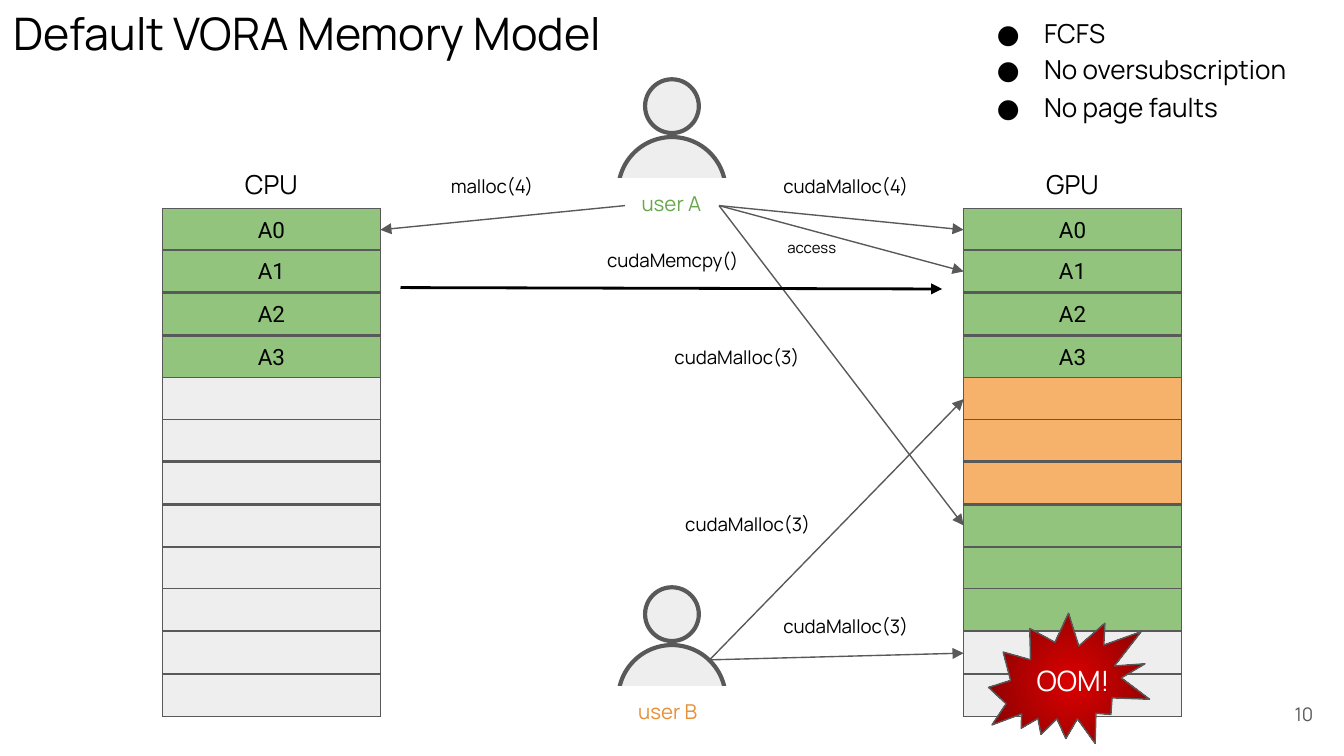
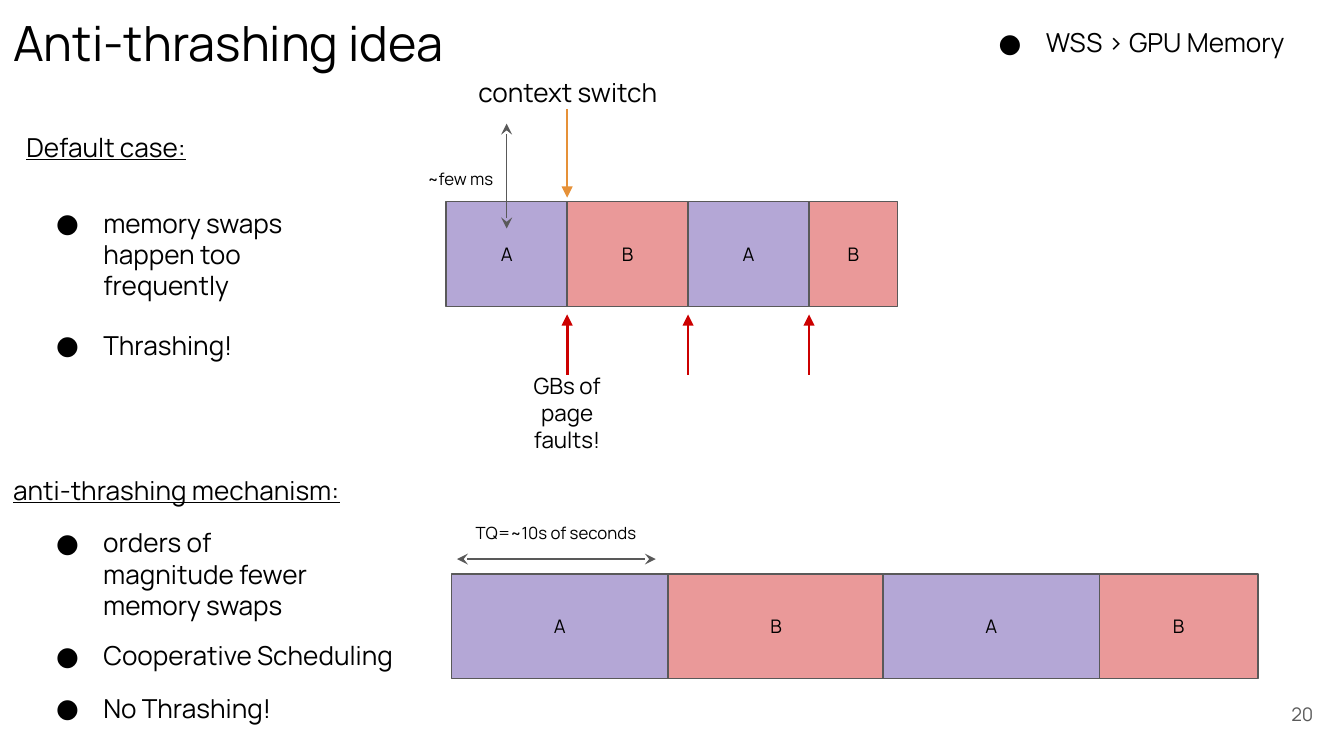
from lxml import etree
from pptx import Presentation
from pptx import util as u
from pptx.dml.color import RGBColor
from pptx.enum import shapes, text
from pptx.oxml import ns

PX = 9144
BLACK, GRAY, WHITE, PALE = "000000", "595959", "FFFFFF", "EEEEEE"
GREEN, ORANGE, RED = "93C47D", "F6B26B", "CC0000"
PURPLE, PINK = "B4A7D6", "EA9999"
GREEN_TEXT, ORANGE_TEXT = "6AA84F", "E69138"
RECT, OVAL = shapes.MSO_SHAPE.RECTANGLE, shapes.MSO_SHAPE.OVAL
LEFT, CENTER, RIGHT = text.PP_ALIGN.LEFT, text.PP_ALIGN.CENTER, text.PP_ALIGN.RIGHT
TOP, MIDDLE, BOTTOM = text.MSO_ANCHOR.TOP, text.MSO_ANCHOR.MIDDLE, text.MSO_ANCHOR.BOTTOM


def put(page, place, words="", size=14, color=BLACK, align=LEFT, anchor=TOP, font="Manrope",
        bullet=False, underline=False, preset=None, fill=None, line=GRAY, weight=0.75):
    place = [round(length) * PX for length in place]
    if preset is None:
        box = page.shapes.add_textbox(*place)
    else:
        box = page.shapes.add_shape(preset, *place)
        box.shadow.inherit = False
        if fill:
            box.fill.solid()
            box.fill.fore_color.rgb = RGBColor.from_string(fill)
        else:
            box.fill.background()
        box.line.color.rgb = RGBColor.from_string(line)
        box.line.width = u.Pt(weight)
    if words:
        frame = box.text_frame
        frame.word_wrap = True
        frame.vertical_anchor = anchor
        frame.margin_left = frame.margin_right = frame.margin_top = frame.margin_bottom = 10 * PX
        frame.text = words
        para = frame.paragraphs[0]
        para.alignment = align
        if bullet:
            props = para._p.get_or_add_pPr()
            props.set("marL", str(50 * PX))
            props.set("indent", str(-35 * PX))
            tint = etree.SubElement(props, ns.qn("a:buClr"))
            etree.SubElement(tint, ns.qn("a:srgbClr"), val=BLACK)
            etree.SubElement(props, ns.qn("a:buFont"), typeface=font)
            etree.SubElement(props, ns.qn("a:buChar"), char="●")
        para.font.name = font
        para.font.size = u.Pt(size)
        para.font.color.rgb = RGBColor.from_string(color)
        if underline:
            para.font.underline = True
    return box


def arrow(page, ends, color=GRAY, weight=0.75, head=None, tail="triangle"):
    link = page.shapes.add_connector(shapes.MSO_CONNECTOR.STRAIGHT, *[end * PX for end in ends])
    link.line.color.rgb = RGBColor.from_string(color)
    link.line.width = u.Pt(weight)
    outline = link.line._get_or_add_ln()
    if head:
        etree.SubElement(outline, ns.qn("a:headEnd"), type=head)
    etree.SubElement(outline, ns.qn("a:tailEnd"), type=tail)
    etree.SubElement(link._element.spPr, ns.qn("a:effectLst"))


deck = Presentation()
deck.slide_width, deck.slide_height = 1000 * PX, u.Inches(5.625)
memory, thrashing = [deck.slides.add_slide(deck.slide_layouts[6]) for _ in range(2)]
for page, number in ((memory, "10"), (thrashing, "20")):
    put(page, (927, 510, 60, 43), number, 10, GRAY, RIGHT, MIDDLE)

put(memory, (0, 0, 595, 54), "Default VORA Memory Model", 24, anchor=BOTTOM)
for row, words in enumerate(("FCFS", "No oversubscription", "No page faults")):
    put(memory, (717, 3 + 27.5 * row, 264, 43), words, bullet=True)

for top, mask_height, name, color, align in (
    (59, 81, "user A", GREEN_TEXT, CENTER),
    (437, 51, "user B", ORANGE_TEXT, LEFT),
):
    put(memory, (480, top, 40, 40), preset=OVAL, fill=PALE, weight=2.25)
    put(memory, (460, top + 43, 80, 80), preset=OVAL, fill=PALE, weight=2.25)
    put(memory, (439, top + 74, 122, mask_height), fill=WHITE, line=WHITE,
        preset=shapes.MSO_SHAPE.FLOWCHART_PROCESS)
    put(memory, (465, top + 74, 69, 38), name, 11, color, align)

for left, name, fills in (
    (121, "CPU", [GREEN] * 4 + [PALE] * 8),
    (717, "GPU", [GREEN] * 4 + [ORANGE] * 3 + [GREEN] * 3 + [PALE] * 2),
):
    put(memory, (left + 34, 115, 94, 43), name, align=CENTER)
    put(memory, (left, 155, 162, 378), preset=RECT, line=BLACK)
    for row, fill in enumerate(fills):
        put(memory, (left, 155 + 31.5 * row, 162, 31), f"A{row}" if row < 4 else "", 12,
            align=CENTER, anchor=MIDDLE, font="Roboto", preset=RECT, fill=fill)

for ends in (
    (465, 153, 283, 171),
    (535, 153, 717, 171),
    (535, 153, 717, 202),
    (535, 153, 717, 391),
    (528, 491, 717, 297),
    (528, 491, 717, 486),
):
    arrow(memory, ends)
arrow(memory, (298, 214, 701, 215), BLACK, 1.5)

for left, top, width, words, size, align in (
    (317, 122, 98, "malloc(4)", 10, CENTER),
    (573, 122, 131, "cudaMalloc(4)", 10, LEFT),
    (435, 177, 131, "cudaMemcpy()", 10, CENTER),
    (492, 249, 131, "cudaMalloc(3)", 10, LEFT),
    (500, 373, 131, "cudaMalloc(3)", 10, LEFT),
    (573, 449, 131, "cudaMalloc(3)", 10, LEFT),
    (576, 171, 94, "access", 8, LEFT),
):
    put(memory, (left, top, width, 37), words, size, align=align)

burst = put(memory, (743, 447, 109, 121), preset=shapes.MSO_SHAPE.EXPLOSION2)
burst.rotation = 35.6
burst.fill.gradient()
for stop, color in zip(burst.fill.gradient_stops, ("DB0000", "540303")):
    stop.color.rgb = RGBColor.from_string(color)
gradient = burst._element.spPr.find(ns.qn("a:gradFill"))
linear = gradient.find(ns.qn("a:lin"))
radial = etree.Element(ns.qn("a:path"), path="circle")
etree.SubElement(radial, ns.qn("a:fillToRect"), l="50000", t="50000", r="50000", b="50000")
gradient.replace(linear, radial)
put(memory, (755, 484, 87, 45), "OOM!", 15, WHITE, CENTER)

put(thrashing, (0, 0, 399, 63), "Anti-thrashing idea", 26)
put(thrashing, (695, 10, 294, 43), "WSS > GPU Memory", align=CENTER, bullet=True)
put(thrashing, (0, 88, 158, 43), "Default case:", align=CENTER, underline=True)
put(thrashing, (0, 343, 340, 43), "anti-thrashing mechanism:", underline=True)
for top, width, height, words in (
    (144, 235, 90, "memory swaps happen too frequently"),
    (235, 235, 43, "Thrashing!"),
    (382, 246, 90, "orders of magnitude fewer memory swaps"),
    (466, 319, 43, "Cooperative Scheduling"),
    (505, 235, 43, "No Thrashing!"),
):
    put(thrashing, (17, top, width, height), words, bullet=True)

for left, top, step, last in ((332, 150, 90, 66), (336, 427, 160.6, 118)):
    for turn, (name, fill) in enumerate((("A", PURPLE), ("B", PINK)) * 2):
        put(thrashing, (left + step * turn, top, last if turn == 3 else step, 78), name, 10,
            align=CENTER, anchor=MIDDLE, preset=RECT, fill=fill)

for left in range(422, 603, 90):
    arrow(thrashing, (left, 279, left, 234), RED, 1.5)
arrow(thrashing, (422, 81, 422, 147), ORANGE_TEXT)
for ends in ((377, 170, 377, 92), (340, 416, 488, 416)):
    arrow(thrashing, ends, head="stealth", tail="stealth")

for place, words, size in (
    ((340, 47, 165, 43), "context switch", 14),
    ((230, 118, 225, 35), "~few ms", 9),
    ((374, 267, 96, 91), "GBs of\vpage faults!", 12),
    ((304, 381, 219, 35), "TQ=~10s of seconds", 9),
):
    put(thrashing, place, words, size, align=CENTER)

deck.save("out.pptx")
